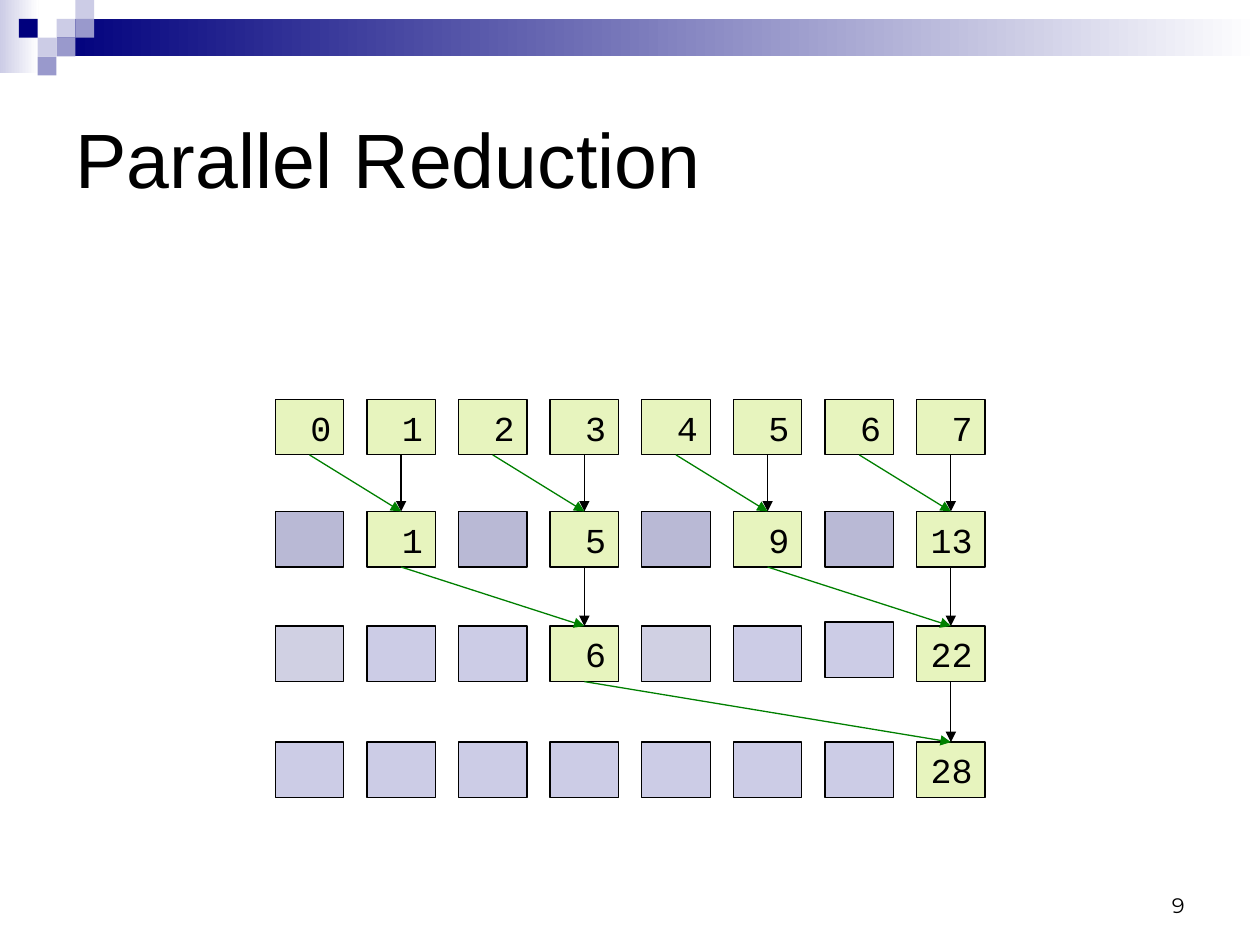
"""Build a slide that shows a parallel reduction tree over eight values."""
from lxml import etree
from pptx import Presentation
from pptx import util as u
from pptx.dml.color import RGBColor
from pptx.enum import shapes, text
from pptx.oxml.ns import qn

BLACK = RGBColor(0, 0, 0)
WHITE = RGBColor(255, 255, 255)
NAVY = RGBColor(0, 0, 0x7D)
PALE = RGBColor(0xCC, 0xCC, 0xE6)
MID = RGBColor(0x99, 0x99, 0xCC)
LIME = RGBColor(0xE7, 0xF4, 0xBE)
DUSK = RGBColor(0xB9, 0xB9, 0xD5)
MIST = RGBColor(0xD0, 0xD0, 0xE3)
GREEN = RGBColor(0, 0x80, 0)

prs = Presentation()
prs.slide_width, prs.slide_height = u.Cm(25.4), u.Cm(19.05)
slide = prs.slides.add_slide(prs.slide_layouts[5])


def add_box(left, top, width, height, fill):
    box = slide.shapes.add_shape(shapes.MSO_SHAPE.RECTANGLE, u.Cm(left), u.Cm(top),
                                 u.Cm(width), u.Cm(height))
    box.shadow.inherit = False
    box.line.fill.background()
    if fill:
        box.fill.solid()
        box.fill.fore_color.rgb = fill
    return box


def add_run(para, words, size, face):
    run = para.add_run()
    run.text = words
    run.font.size = u.Pt(size)
    run.font.name = face
    run.font.color.rgb = BLACK


for left, top, width, height, start in [(0, 0, 0.78, 1.47, PALE),
                                        (1.14, 0.38, 24.26, 0.76, NAVY)]:
    band = add_box(left, top, width, height, None)
    band.fill.gradient()
    band.fill.gradient_angle = 0
    for stop, tint in zip(band.fill.gradient_stops, (start, WHITE)):
        stop.color.rgb = tint

unit = 0.38
for col, row, tint in [(3, 1, PALE), (4, 0, PALE), (4, 1, MID), (2, 2, PALE),
                       (1, 1, NAVY), (3, 2, MID), (2, 3, MID)]:
    add_box(col * unit, row * unit, unit, unit, tint)

title = slide.shapes.title
title.left, title.top = u.Cm(1.27), u.Cm(1.27)
title.width, title.height = u.Cm(22.86), u.Cm(3.81)
title.text_frame.vertical_anchor = text.MSO_ANCHOR.MIDDLE
para = title.text_frame.paragraphs[0]
para.alignment = text.PP_ALIGN.LEFT
add_run(para, "Parallel Reduction", 44, "Arial")

tops = [8.05, 10.31, 12.62, 14.96]
idle = [[LIME] * 8, [DUSK] * 8, [MIST, PALE, PALE, PALE] * 2, [PALE] * 8]
sums = [dict(enumerate("01234567")),
        {1: "1", 3: "5", 5: "9", 7: "13"},
        {3: "6", 7: "22"},
        {7: "28"}]
shift = {(2, 6): -0.08}
cells = {}
for row, top in enumerate(tops):
    for col in range(8):
        value = sums[row].get(col)
        cell = add_box(5.55 + 1.847 * col, top + shift.get((row, col), 0), 1.38, 1.12,
                       LIME if value else idle[row][col])
        cell.line.color.rgb = BLACK
        cell.line.width = u.Pt(0.75)
        cells[row, col] = cell
        if value:
            frame = cell.text_frame
            frame.word_wrap = True
            frame.margin_left = 0
            frame.margin_right = u.Cm(0.25)
            para = frame.paragraphs[0]
            para.alignment = text.PP_ALIGN.RIGHT
            add_run(para, value, 20, "Courier New")

for row in range(1, 4):
    for col in sums[row]:
        for back, tint in [(0, BLACK), (2 ** (row - 1), GREEN)]:
            link = slide.shapes.add_connector(shapes.MSO_CONNECTOR.STRAIGHT, 0, 0, 0, 0)
            link.begin_connect(cells[row - 1, col - back], 2)
            link.end_connect(cells[row, col], 0)
            link.line.color.rgb = tint
            link.line.width = u.Pt(0.75)
            etree.SubElement(link.line._get_or_add_ln(), qn("a:tailEnd"), type="triangle")
            etree.SubElement(link._element.spPr, qn("a:effectLst"))

number = slide.shapes.add_textbox(u.Cm(18.21), u.Cm(17.35), u.Cm(5.92), u.Cm(1.27))
number.text_frame.word_wrap = True
number.text_frame.vertical_anchor = text.MSO_ANCHOR.BOTTOM
para = number.text_frame.paragraphs[0]
para.alignment = text.PP_ALIGN.RIGHT
add_run(para, "9", 12, "Montserrat")

prs.save("out.pptx")
